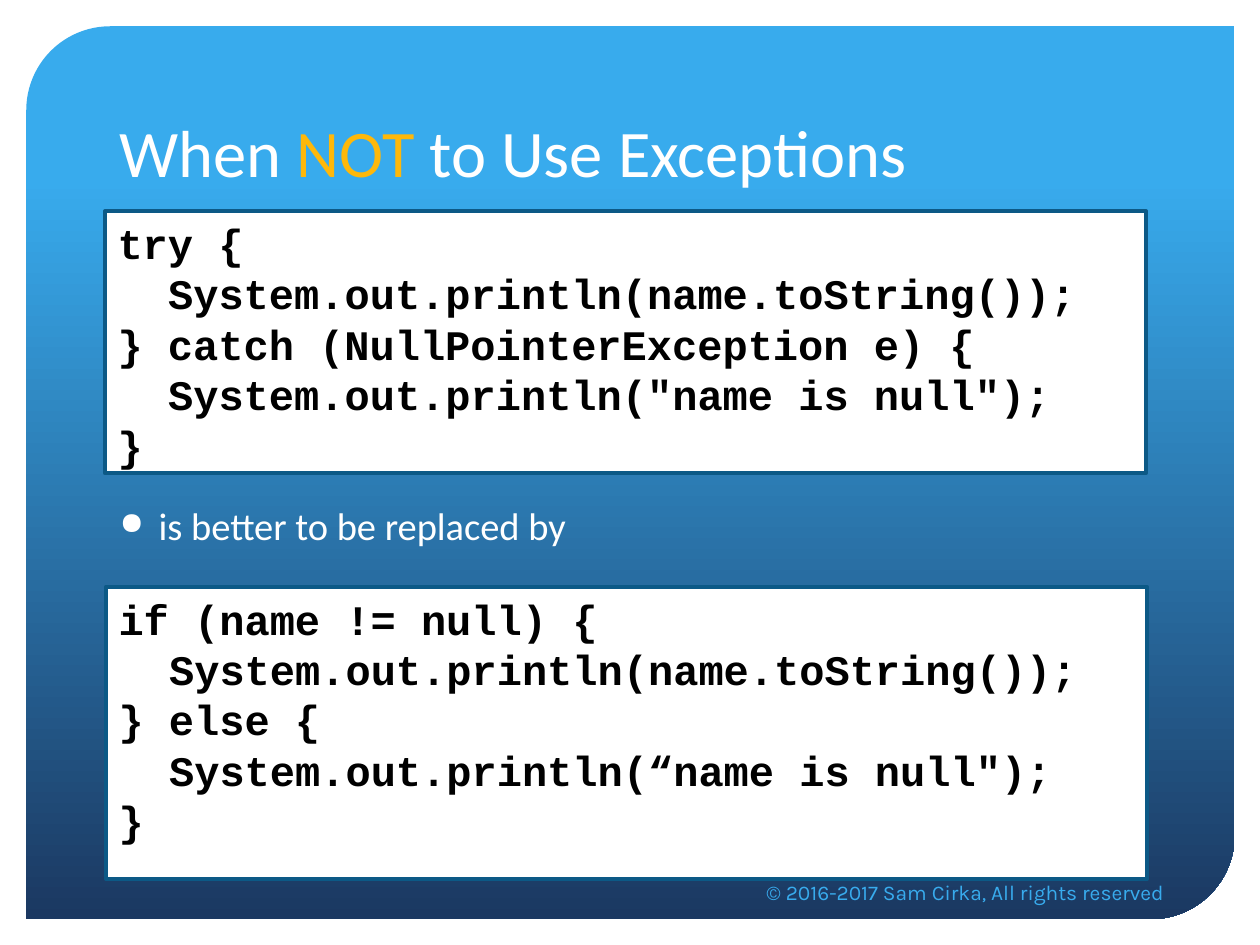
from dataclasses import dataclass

from lxml import etree
from pptx import Presentation
from pptx import util as u
from pptx.dml.color import RGBColor
from pptx.enum import shapes, text
from pptx.oxml import ns

WHITE = RGBColor(0xFF, 0xFF, 0xFF)
BLACK = RGBColor(0x00, 0x00, 0x00)
SKY = RGBColor(0x38, 0xAB, 0xED)
NAVY = RGBColor(0x1B, 0x38, 0x61)
AMBER = RGBColor(0xFE, 0xB8, 0x0A)
BORDER = RGBColor(0x0C, 0x59, 0x86)


@dataclass(frozen=True)
class Area:
    left: float
    top: float
    width: float
    height: float

    def lengths(self) -> list[u.Length]:
        return [u.Cm(n) for n in (self.left, self.top, self.width, self.height)]


@dataclass(frozen=True)
class Style:
    font: str
    size: float
    color: RGBColor
    bold: bool = False


@dataclass(frozen=True)
class CodeBlock:
    area: Area
    opening: str
    middle: str
    fallback: str

    def lines(self) -> list[tuple[str, int]]:
        return [
            (self.opening, 0),
            ("System.out.println(name.toString());", 1),
            (self.middle, 0),
            (self.fallback, 1),
            ("}", 0),
        ]


TITLE = Style("Calibri", 38, WHITE)
ACCENT = Style("Calibri", 38, AMBER)
BODY = Style("Calibri", 22, WHITE)
CODE = Style("Courier New", 24, BLACK, True)
FOOTER = Style("Karla", 12, SKY)
CODE_INDENT = u.Cm(1.02)
BULLET_INDENT = u.Cm(0.79)

CODE_BLOCKS = [
    CodeBlock(Area(2.12, 4.26, 20.98, 5.28), "try {",
              "} catch (NullPointerException e) {",
              'System.out.println("name is null");'),
    CodeBlock(Area(2.14, 11.83, 20.98, 5.89), "if (name != null) {",
              "} else {",
              'System.out.println(“name is null");'),
]


def add_span(para, words: str, style: Style) -> None:
    span = para.add_run()
    span.text = words
    span.font.name = style.font
    span.font.size = u.Pt(style.size)
    span.font.bold = style.bold
    span.font.color.rgb = style.color


def add_text(page, area: Area, anchor: text.MSO_ANCHOR):
    box = page.shapes.add_textbox(*area.lengths())
    box.text_frame.word_wrap = True
    box.text_frame.vertical_anchor = anchor
    return box.text_frame


def add_panel(page) -> None:
    panel = page.shapes.add_shape(
        shapes.MSO_SHAPE.ROUND_2_DIAG_RECTANGLE,
        *Area(0.53, 0.53, 24.36, 18).lengths())
    panel.adjustments[0] = 0.094
    panel.adjustments[1] = 0
    panel.shadow.inherit = False
    panel.line.fill.background()
    panel.fill.gradient()
    panel.fill.gradient_angle = 270
    for stop, position, color in zip(panel.fill.gradient_stops, (0.17, 1), (SKY, NAVY)):
        stop.position = position
        stop.color.rgb = color


def add_code(page, block: CodeBlock) -> None:
    box = page.shapes.add_shape(shapes.MSO_SHAPE.RECTANGLE, *block.area.lengths())
    box.shadow.inherit = False
    box.fill.solid()
    box.fill.fore_color.rgb = WHITE
    box.line.color.rgb = BORDER
    box.line.width = u.Pt(2.5)
    frame = box.text_frame
    frame.word_wrap = True
    frame.vertical_anchor = text.MSO_ANCHOR.TOP
    for index, (words, level) in enumerate(block.lines()):
        para = frame.add_paragraph() if index else frame.paragraphs[0]
        para.alignment = text.PP_ALIGN.LEFT
        para._p.get_or_add_pPr().set("marL", str(level * CODE_INDENT))
        add_span(para, words, CODE)


def add_title(page) -> None:
    frame = add_text(page, Area(2.16, 1.07, 21.06, 2.9), text.MSO_ANCHOR.BOTTOM)
    para = frame.paragraphs[0]
    for words, style in (("When ", TITLE), ("NOT", ACCENT), (" to Use Exceptions", TITLE)):
        add_span(para, words, style)


def add_bullet(page) -> None:
    frame = add_text(page, Area(2.16, 9.99, 21.06, 1.3), text.MSO_ANCHOR.TOP)
    para = frame.paragraphs[0]
    add_span(para, "is better to be replaced by", BODY)
    settings = para._p.get_or_add_pPr()
    settings.set("marL", str(BULLET_INDENT))
    settings.set("indent", str(-BULLET_INDENT))
    etree.SubElement(settings, ns.qn("a:buSzPct")).set("val", "80000")
    etree.SubElement(settings, ns.qn("a:buChar")).set("char", "●")


def add_footer(page) -> None:
    frame = add_text(page, Area(9.17, 17.48, 14.55, 1.02), text.MSO_ANCHOR.MIDDLE)
    para = frame.paragraphs[0]
    para.alignment = text.PP_ALIGN.RIGHT
    add_span(para, "© 2016-2017 Sam Cirka, All rights reserved", FOOTER)


def main() -> None:
    deck = Presentation()
    deck.slide_width = u.Cm(25.4)
    deck.slide_height = u.Cm(19.05)
    page = deck.slides.add_slide(deck.slide_layouts[6])
    add_panel(page)
    add_title(page)
    add_bullet(page)
    for block in CODE_BLOCKS:
        add_code(page, block)
    add_footer(page)
    deck.save("out.pptx")


if __name__ == "__main__":
    main()
